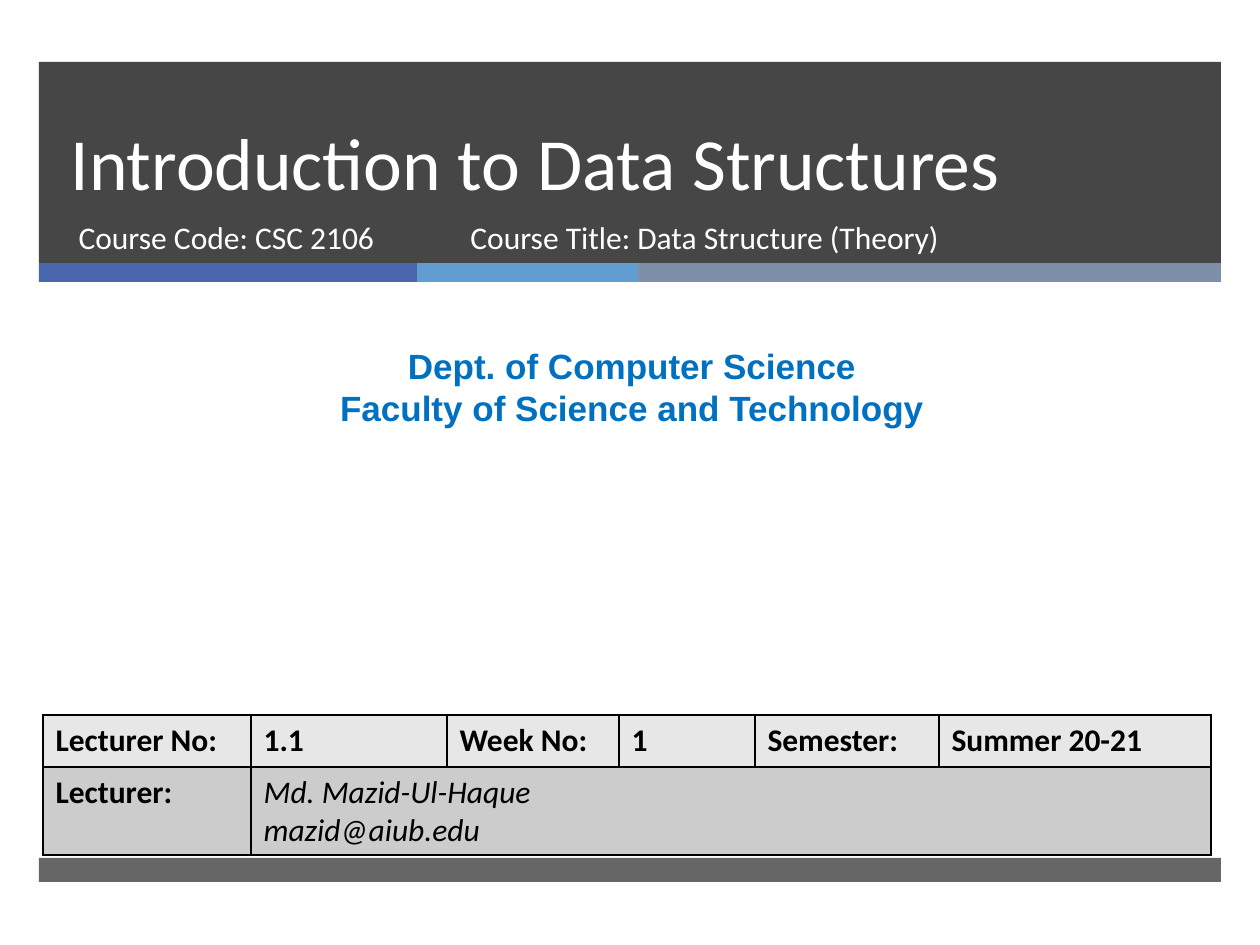
from dataclasses import dataclass

from lxml.etree import SubElement
from pptx import Presentation
from pptx.dml.color import RGBColor
from pptx.enum.shapes import MSO_SHAPE
from pptx.enum.text import MSO_ANCHOR, MSO_AUTO_SIZE, PP_ALIGN
from pptx.oxml.ns import qn
from pptx.util import Emu, Pt

PX_PER_INCH = 126


@dataclass(frozen=True)
class Theme:
    dark: str = "262626"
    stripes: tuple = ("4A66AC", "629DD1", "7F8FA9")
    white: str = "FFFFFF"
    black: str = "000000"
    accent: str = "0070C0"
    rows: tuple = ("E7E7E7", "CCCCCC")
    body_font: str = "Calibri"
    department_font: str = "Arial"
    title_size: int = 42
    title_leading: int = 46
    body_size: int = 18
    department_size: int = 20


THEME = Theme()


def px(length):
    return Emu(round(length * 914400 / PX_PER_INCH))


def place(shape, box):
    shape.left, shape.top, shape.width, shape.height = map(px, box)


def add_bar(page, box, color, opacity=100):
    bar = page.shapes.add_shape(MSO_SHAPE.RECTANGLE, *map(px, box))
    bar.shadow.inherit = False
    bar.line.fill.background()
    bar.fill.solid()
    bar.fill.fore_color.rgb = RGBColor.from_string(color)
    if opacity < 100:
        tint = bar._element.spPr.find(".//" + qn("a:srgbClr"))
        SubElement(tint, qn("a:alpha"), val=str(opacity * 1000))
    # Send behind the placeholders; the tree starts with two property elements
    page.shapes._spTree.insert(2, bar._element)


def write(frame, lines, size, color, font=THEME.body_font,
          align=PP_ALIGN.LEFT, bold=False, italic=False):
    frame.text = "\n".join(lines)
    frame.word_wrap = True
    for para in frame.paragraphs:
        para.alignment = align
        para.space_before = Pt(0)
        para.font.name = font
        para.font.size = Pt(size)
        para.font.color.rgb = RGBColor.from_string(color)
        para.font.bold = bold
        para.font.italic = italic


def build_header(page, box):
    left, top, width, height = box
    stripe_height = 19
    band_height = height - stripe_height

    # Dark band with three stripes below it
    add_bar(page, (left, top, width, band_height), THEME.dark, 85)
    stripe_left = left
    for stripe_width, color in zip((378, 221, 583), THEME.stripes):
        add_bar(page, (stripe_left, top + band_height, stripe_width, stripe_height), color)
        stripe_left += stripe_width

    # Title
    title = page.shapes.title
    place(title, (left + 19, top, 1076, 150))
    frame = title.text_frame
    frame.auto_size = MSO_AUTO_SIZE.NONE
    frame.vertical_anchor = MSO_ANCHOR.BOTTOM
    write(frame, ["Introduction to Data Structures"], THEME.title_size, THEME.white)
    frame.paragraphs[0].line_spacing = Pt(THEME.title_leading)

    # Course code and course title
    code = page.placeholders[1]
    place(code, (left + 27, top + 150, 384, 67))
    code.text_frame.auto_size = MSO_AUTO_SIZE.NONE
    course = page.shapes.add_textbox(*map(px, (left + 419, top + 150, 573, 67)))
    for shape, text in ((code, "Course Code: CSC 2106"),
                        (course, "Course Title: Data Structure (Theory)")):
        write(shape.text_frame, [text], THEME.body_size, THEME.white)


def build_department(page, box):
    frame = page.shapes.add_textbox(*map(px, box)).text_frame
    write(frame, ["Dept. of Computer Science", "Faculty of Science and Technology"],
          THEME.department_size, THEME.accent, THEME.department_font,
          PP_ALIGN.CENTER, bold=True)


def outline_cell(cell):
    properties = cell._tc.get_or_add_tcPr()
    for index, side in enumerate(("lnL", "lnR", "lnT", "lnB")):
        line = properties.makeelement(qn("a:" + side), {"w": str(Pt(1))})
        fill = SubElement(line, qn("a:solidFill"))
        SubElement(fill, qn("a:srgbClr"), val=THEME.black)
        properties.insert(index, line)


def build_lecture_table(page, box):
    rows = [
        ["Lecturer No:", "1.1", "Week No:", "1", "Semester:", "Summer 20-21"],
        ["Lecturer:"],
    ]
    column_widths = (208, 196, 172, 136, 184, 272)
    row_heights = (52, box[3] - 52)
    table = page.shapes.add_table(2, len(column_widths), *map(px, box)).table
    table.first_row = table.horz_banding = False
    for column, width in zip(table.columns, column_widths):
        column.width = px(width)

    for row, height, color in zip(table.rows, row_heights, THEME.rows):
        row.height = px(height)
        for cell in row.cells:
            cell.fill.solid()
            cell.fill.fore_color.rgb = RGBColor.from_string(color)
            outline_cell(cell)

    for row, texts in enumerate(rows):
        for column, text in enumerate(texts):
            write(table.cell(row, column).text_frame, [text],
                  THEME.body_size, THEME.black, bold=True)

    # Lecturer details span the rest of the second row
    lecturer = table.cell(1, 1)
    lecturer.merge(table.cell(1, 5))
    write(lecturer.text_frame, ["Md. Mazid-Ul-Haque", "mazid@aiub.edu"],
          THEME.body_size, THEME.black, italic=True)


def main():
    deck = Presentation()
    deck.slide_width, deck.slide_height = px(1260), px(945)
    page = deck.slides.add_slide(deck.slide_layouts[0])

    build_header(page, (39, 62, 1182, 220))
    add_bar(page, (39, 858, 1182, 24), THEME.dark, 70)
    build_department(page, (10, 338, 1244, 97))
    build_lecture_table(page, (43, 715, 1168, 140))

    deck.save("out.pptx")


if __name__ == "__main__":
    main()
